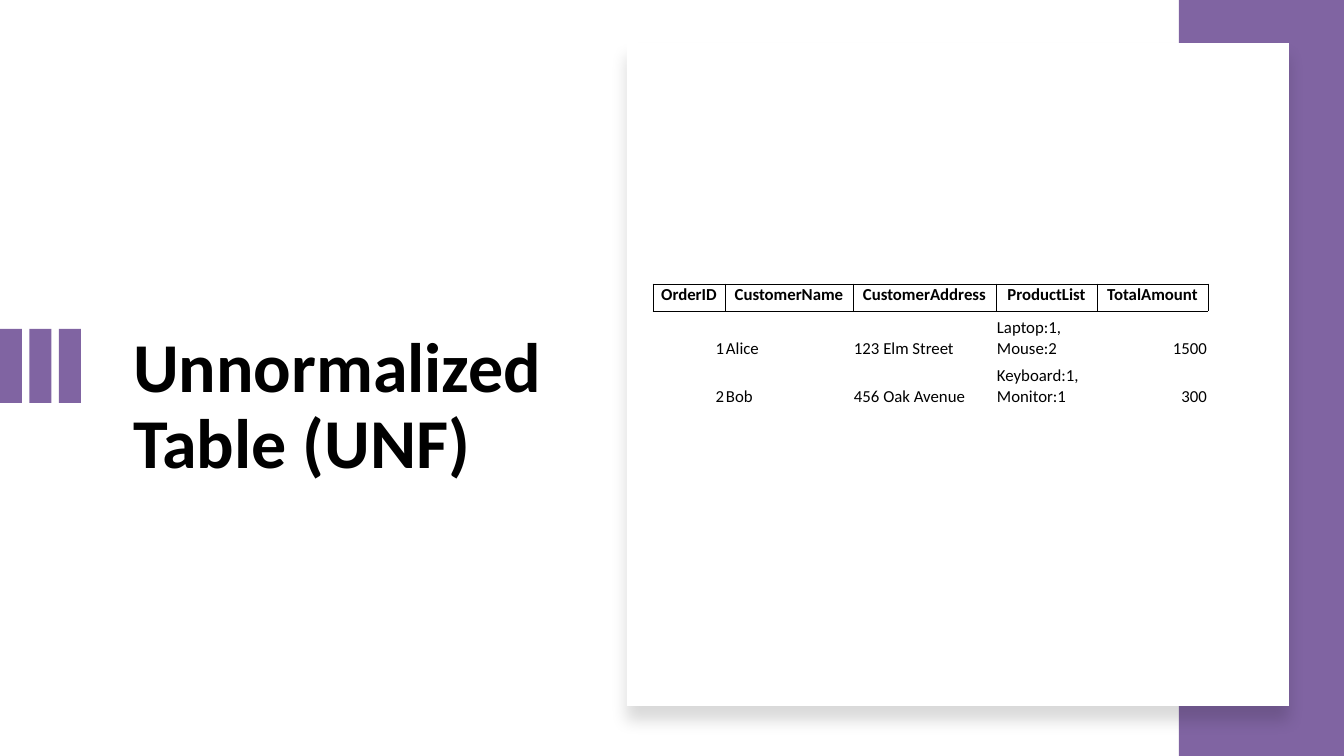
from lxml import etree
from pptx import Presentation
from pptx import util as u
from pptx.dml.color import RGBColor
from pptx.enum import shapes, text
from pptx.oxml import parse_xml
from pptx.oxml.ns import nsdecls, qn

PX = 914400 / 100.8
COLORS = {"purple": "8064A2", "white": "FFFFFF", "black": "000000"}


def px(*lengths):
    return [u.Emu(round(length * PX)) for length in lengths]


def add_block(left, top, width, height, color):
    block = slide.shapes.add_shape(shapes.MSO_SHAPE.RECTANGLE, *px(left, top, width, height))
    block.shadow.inherit = False
    block.fill.solid()
    block.fill.fore_color.rgb = RGBColor.from_string(COLORS[color])
    block.line.fill.background()
    return block


deck = Presentation()
deck.slide_width, deck.slide_height = px(1344, 756)
slide = deck.slides.add_slide(deck.slide_layouts[5])

# Title
title = slide.shapes.title
title.left, title.top, title.width, title.height = px(123, 327, 445, 263)
title.text_frame.text = "Unnormalized Table (UNF)"
title.text_frame.word_wrap = True
title.text_frame.auto_size = text.MSO_AUTO_SIZE.NONE
title.text_frame.vertical_anchor = text.MSO_ANCHOR.TOP
heading = title.text_frame.paragraphs[0]
heading.alignment = text.PP_ALIGN.LEFT
heading.line_spacing = 0.9
heading.font.name, heading.font.size, heading.font.bold = "Calibri", u.Pt(50), True
heading.font.color.rgb = RGBColor.from_string(COLORS["black"])

# Accent bars and side band
for bar in range(3):
    add_block(bar * 59 / 2, 329, 22, 74, "purple")
add_block(1179, 0, 165, 756, "purple")

# White card with a soft shadow below
card = add_block(627, 43, 662, 663, "white")
effects = card._element.spPr.find(qn("a:effectLst"))
effects.append(parse_xml(
    f'<a:outerShdw {nsdecls("a")} blurRad="{u.Pt(11)}" dist="{u.Pt(10)}" dir="5400000" '
    f'algn="t" rotWithShape="0"><a:srgbClr val="{COLORS["black"]}">'
    '<a:alpha val="15000"/></a:srgbClr></a:outerShdw>'))

# Orders table, with a spare column and two spare rows
orders = [
    ["OrderID", "CustomerName", "CustomerAddress", "ProductList", "TotalAmount", ""],
    ["1", "Alice", "123 Elm Street", "Laptop:1, Mouse:2", "1500", ""],
    ["2", "Bob", "456 Oak Avenue", "Keyboard:1, Monitor:1", "300", ""],
    [""] * 6,
    [""] * 6,
]
column_widths = px(72, 128, 143, 101, 111, 54)
row_heights = px(27, 48, 48, 29, 29)
table = slide.shapes.add_table(len(orders), len(orders[0]), *px(653, 284),
                               sum(column_widths), sum(row_heights)).table
table.first_row = table.horz_banding = False
for column, width in zip(table.columns, column_widths):
    column.width = width
for row, height in zip(table.rows, row_heights):
    row.height = height

for r, record in enumerate(orders):
    for c, value in enumerate(record):
        is_header = r == 0
        cell = table.cell(r, c)
        cell.fill.background()
        cell.margin_left = cell.margin_right = cell.margin_top = px(1)[0]
        cell.margin_bottom = 0
        cell.vertical_anchor = text.MSO_ANCHOR.TOP if is_header else text.MSO_ANCHOR.BOTTOM
        cell.text = value
        entry = cell.text_frame.paragraphs[0]
        if is_header:
            entry.alignment = text.PP_ALIGN.CENTER
        else:
            entry.alignment = text.PP_ALIGN.RIGHT if c in (0, 4) else text.PP_ALIGN.LEFT
        entry.font.name, entry.font.size, entry.font.bold = "Calibri", u.Pt(12), is_header
        entry.font.color.rgb = RGBColor.from_string(COLORS["black"])

        # Thin box around each header, no rule elsewhere
        boxed = {"L": is_header, "R": is_header and c < 5,
                 "T": is_header and c < 5, "B": is_header and c < 5}
        if r == 1 and c < 5:
            boxed["T"] = True
        properties = cell._tc.get_or_add_tcPr()
        for position, (side, ruled) in enumerate(boxed.items()):
            border = etree.Element(qn(f"a:ln{side}"), w=str(u.Pt(0.5)))
            if ruled:
                paint = etree.SubElement(border, qn("a:solidFill"))
                etree.SubElement(paint, qn("a:srgbClr"), val=COLORS["black"])
            else:
                etree.SubElement(border, qn("a:noFill"))
            properties.insert(position, border)

deck.save("out.pptx")
